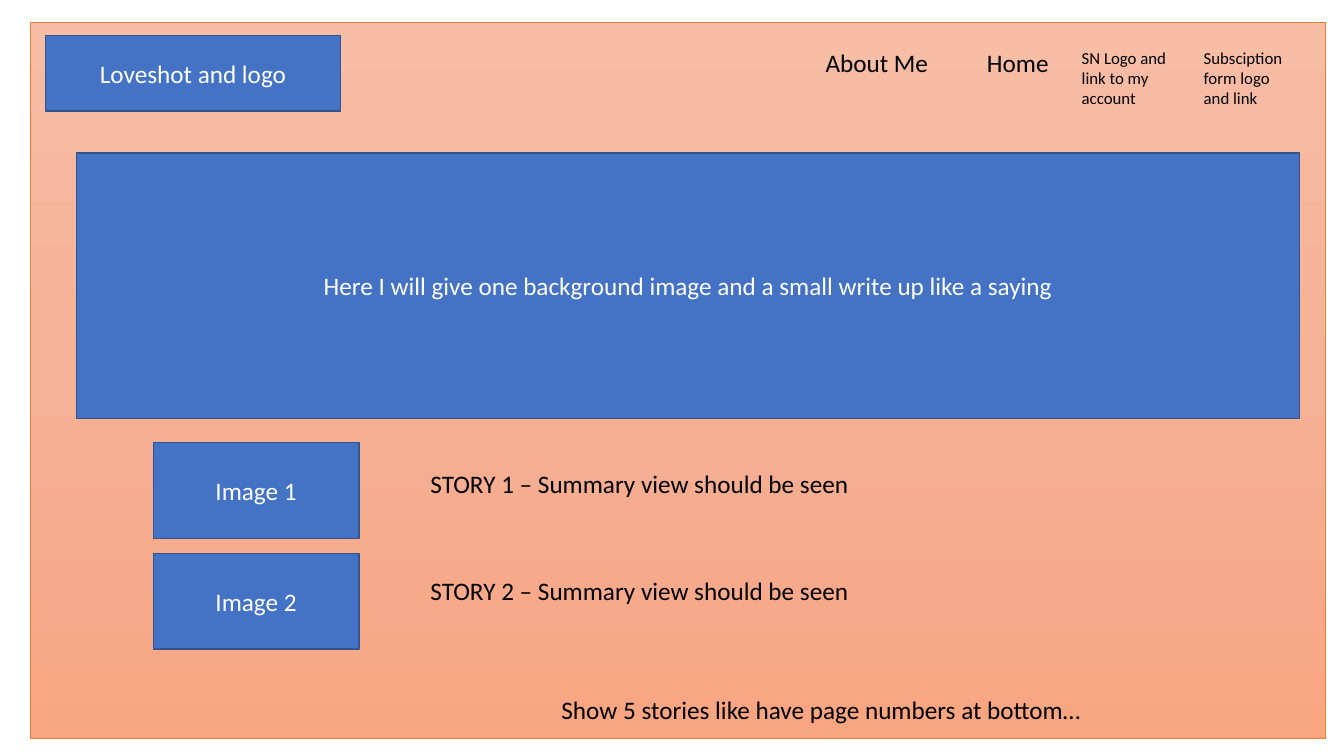
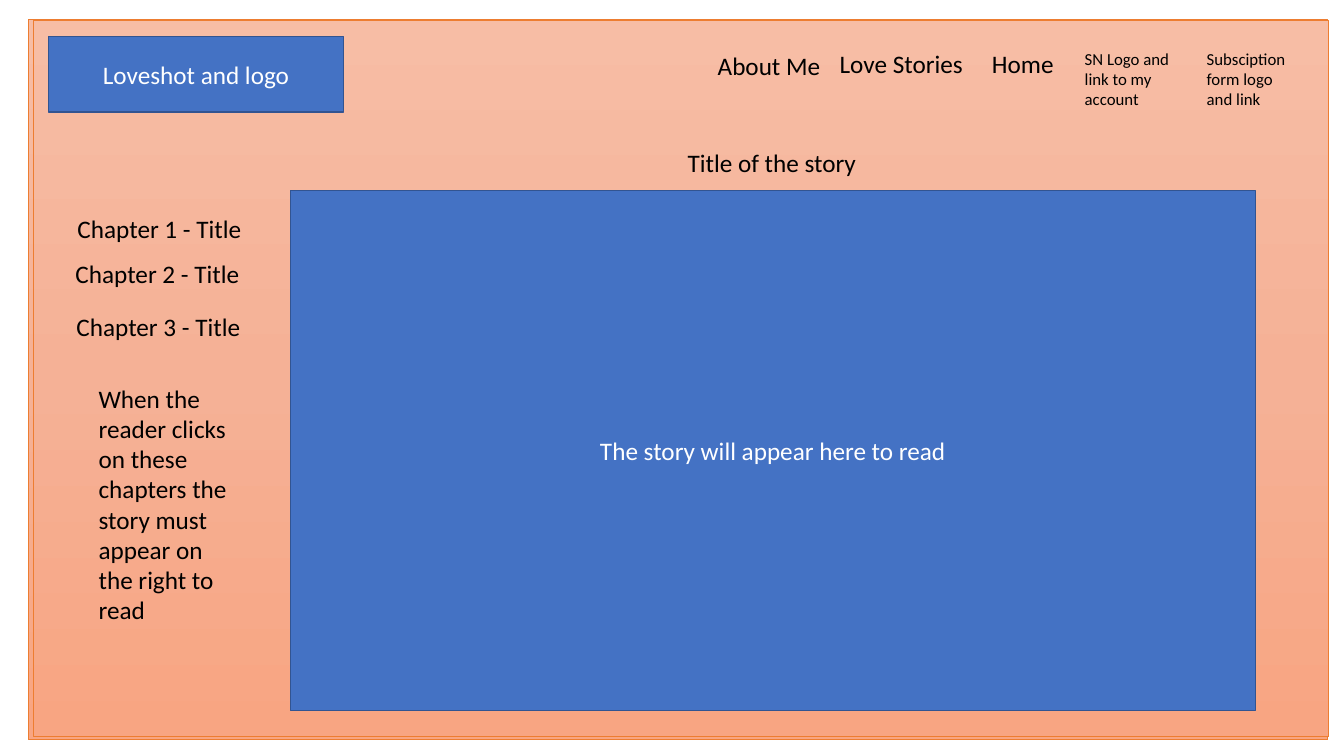
import copy
from dataclasses import dataclass

import pptx
import pptx.dml.color
import pptx.enum.shapes
import pptx.enum.text
import pptx.oxml.ns
import pptx.util


@dataclass(frozen=True)
class Theme:
    """Colours, font and type sizes shared by both slides."""
    font: str = "Calibri"
    body: int = 18
    small: int = 12
    text: str = "000000"
    panel: str = "4472C4"
    panel_line: str = "325491"
    panel_text: str = "FFFFFF"
    page_line: str = "ED7D31"
    page_stops: tuple = ((0, "F7BDA5"), (0.5, "F5B196"), (1, "F8A582"))


theme = Theme()
color = pptx.dml.color.RGBColor.from_string
anchor = pptx.enum.text.MSO_ANCHOR

# The grid has one-inch cells: 13.33 columns by 7.5 rows
cell = pptx.util.Inches(1)
presentation = pptx.Presentation()
presentation.slide_width = int(13.33 * cell)
presentation.slide_height = int(7.5 * cell)


def add_panel(slide, box, text=None):
    """Add a blue panel with centred text, or the gradient page if text is None."""
    shape = slide.shapes.add_shape(
        pptx.enum.shapes.MSO_SHAPE.RECTANGLE, *(int(length * cell) for length in box))
    shape.shadow.inherit = False
    if text is None:
        shape.fill.gradient()
        shape.fill.gradient_angle = 270
        stop_list = shape.element.spPr.find(".//" + pptx.oxml.ns.qn("a:gsLst"))
        stop_list.append(copy.deepcopy(stop_list[0]))
        for stop, (position, stop_color) in zip(shape.fill.gradient_stops, theme.page_stops):
            stop.position = position
            stop.color.rgb = color(stop_color)
        shape.line.color.rgb = color(theme.page_line)
        shape.line.width = pptx.util.Pt(0.5)
        return
    shape.fill.solid()
    shape.fill.fore_color.rgb = color(theme.panel)
    shape.line.color.rgb = color(theme.panel_line)
    shape.line.width = pptx.util.Pt(1)
    shape.text_frame.vertical_anchor = anchor.MIDDLE
    paragraph = shape.text_frame.paragraphs[0]
    paragraph.text = text
    paragraph.alignment = pptx.enum.text.PP_ALIGN.CENTER
    paragraph.font.name = theme.font
    paragraph.font.size = pptx.util.Pt(theme.body)
    paragraph.font.color.rgb = color(theme.panel_text)


def add_label(slide, box, text, size=theme.body, margin=0.1):
    """Add wrapped black text, starting at the given left margin."""
    shape = slide.shapes.add_textbox(*(int(length * cell) for length in box))
    frame = shape.text_frame
    frame.word_wrap = True
    frame.auto_size = pptx.enum.text.MSO_AUTO_SIZE.SHAPE_TO_FIT_TEXT
    frame.margin_left = int(margin * cell)
    paragraph = frame.paragraphs[0]
    paragraph.text = text
    paragraph.font.name = theme.font
    paragraph.font.size = pptx.util.Pt(size)
    paragraph.font.color.rgb = color(theme.text)


line_height = 0.4

# Page background and header of each slide
headers = [
    {"pages": [(0.3, 0.22, 12.85, 7.11)],
     "logo": (0.45, 0.35), "links": (10.63, 0.42),
     "menu": [("About Me", 8.09, 0.42, 1.86), ("Home", 9.69, 0.42, 1.05)]},
    {"pages": [(0.28, 0.19, 12.89, 7.15), (0.33, 0.2, 12.85, 7.11)],
     "logo": (0.48, 0.36), "links": (10.66, 0.43),
     "menu": [("About Me", 7.02, 0.45, 1.47), ("Love Stories", 8.23, 0.43, 1.47),
              ("Home", 9.74, 0.43, 1.05)]},
]
link_step = 1.21
for header in headers:
    slide = presentation.slides.add_slide(presentation.slide_layouts[6])
    for page in header["pages"]:
        add_panel(slide, page)
    add_panel(slide, (*header["logo"], 2.93, 0.75), "Loveshot and logo")
    for text, left, top, width in header["menu"]:
        add_label(slide, (left, top, width, line_height), text)
    left, top = header["links"]
    for index, text in enumerate(("SN Logo and link to my account",
                                  "Subsciption form logo and link")):
        add_label(slide, (left + index * link_step, top, 1.05, 0.71), text, theme.small)

home, reader = presentation.slides

# Home page: banner and story summaries
add_panel(home, (0.76, 1.52, 12.13, 2.63),
          "Here I will give one background image and a small write up like a saying")
for index in range(2):
    add_panel(home, (1.52, 4.39 + index * 1.1, 2.04, 0.95), f"Image {index + 1}")
    add_label(home, (4.17, 4.6 + index * 1.06, 7.25, line_height),
              f"STORY {index + 1} – Summary view should be seen")
add_label(home, (5.47, 6.84, 6.59, line_height),
          "Show 5 stories like have page numbers at bottom…")

# Reading page: chapter list beside the story
add_label(reader, (4.47, 1.41, 6.57, line_height), "Title of the story", margin=2.35)
add_panel(reader, (2.88, 1.89, 9.57, 5.16), "The story will appear here to read")
for number, (left, top) in enumerate(((0.67, 2.07), (0.65, 2.51), (0.66, 3.04)), start=1):
    add_label(reader, (left, top, 2.21, line_height), f"Chapter {number} - Title")
add_label(reader, (0.88, 3.75, 1.56, 2.52),
          "When the reader clicks on these chapters the story must appear on the right to read")

presentation.save("out.pptx")
